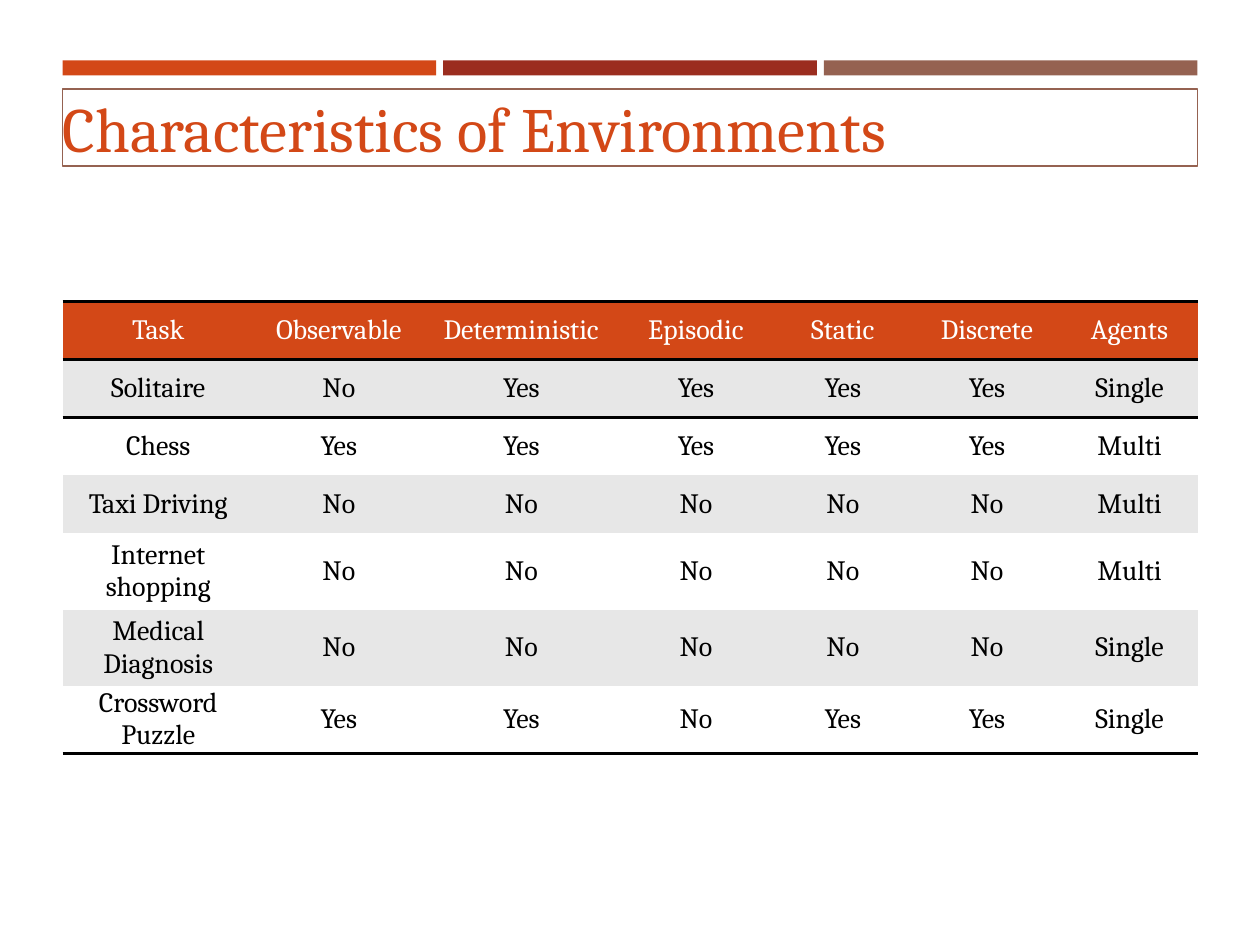
from dataclasses import dataclass

from lxml import etree
from pptx import Presentation
from pptx import util as u
from pptx.dml.color import RGBColor
from pptx.enum import shapes, text
from pptx.oxml.ns import qn

FONT = "Cambria"
COLORS = {
    "orange": "D34817",
    "red": "9B2D1F",
    "brown": "956251",
    "band": "E7E7E7",
    "white": "FFFFFF",
    "black": "000000",
}
LEFT, WIDTH = 1.26, 22.88
NO_GRID_STYLE = "{2D5ABB26-0587-4C30-8999-92F81FD0307C}"


@dataclass
class Task:
    name: str
    values: str
    height: float = 1.17


HEADINGS = Task("Task", "Observable Deterministic Episodic Static Discrete Agents")
TASKS = [
    Task("Solitaire", "No Yes Yes Yes Yes Single"),
    Task("Chess", "Yes Yes Yes Yes Yes Multi"),
    Task("Taxi Driving", "No No No No No Multi"),
    Task("Internet shopping", "No No No No No Multi", 1.54),
    Task("Medical Diagnosis", "No No No No No Single", 1.54),
    Task("Crossword Puzzle", "Yes Yes No Yes Yes Single", 1.36),
]
COLUMN_WIDTHS = [3.86, 3.42, 3.94, 3.1, 2.82, 2.99, 2.76]


def rgb(name: str) -> RGBColor:
    return RGBColor.from_string(COLORS[name])


def add_run(p, words: str, size: float, color: str) -> None:
    r = p.add_run()
    r.text = words
    r.font.name = FONT
    r.font.size = u.Pt(size)
    r.font.color.rgb = rgb(color)


def add_rect(s, left: float, top: float, width: float, height: float):
    sp = s.shapes.add_shape(shapes.MSO_SHAPE.RECTANGLE,
                            u.Cm(left), u.Cm(top), u.Cm(width), u.Cm(height))
    sp.shadow.inherit = False
    return sp


def add_bars(s, gap: float = 0.14) -> None:
    names = ["orange", "red", "brown"]
    width = (WIDTH - gap * (len(names) - 1)) / len(names)
    for i, name in enumerate(names):
        sp = add_rect(s, LEFT + i * (width + gap), 1.22, width, 0.3)
        sp.fill.solid()
        sp.fill.fore_color.rgb = rgb(name)
        sp.line.fill.background()


def add_title(s, words: str) -> None:
    sp = add_rect(s, LEFT, 1.8, WIDTH, 1.55)
    sp.fill.background()
    sp.line.color.rgb = rgb("brown")
    sp.line.width = u.Pt(1)
    tf = sp.text_frame
    tf.word_wrap = True
    tf.margin_left = tf.margin_right = tf.margin_top = tf.margin_bottom = 0
    tf.vertical_anchor = text.MSO_ANCHOR.MIDDLE
    p = tf.paragraphs[0]
    p.alignment = text.PP_ALIGN.LEFT
    add_run(p, words, 36, "orange")


def add_border(cell, side: str) -> None:
    tc_pr = cell._tc.get_or_add_tcPr()
    ln = etree.SubElement(tc_pr, qn(f"a:ln{side}"), w=str(u.Pt(2)))
    fill = etree.SubElement(ln, qn("a:solidFill"))
    etree.SubElement(fill, qn("a:srgbClr"), val=COLORS["black"])


def fill_cell(cell, words: str, fill: str, color: str, sides: str) -> None:
    # Borders come before the fill in the cell properties
    for side in sides:
        add_border(cell, side)
    cell.fill.solid()
    cell.fill.fore_color.rgb = rgb(fill)
    cell.margin_left = cell.margin_right = cell.margin_top = cell.margin_bottom = 0
    cell.vertical_anchor = text.MSO_ANCHOR.MIDDLE
    p = cell.text_frame.paragraphs[0]
    p.alignment = text.PP_ALIGN.CENTER
    add_run(p, words, 16, color)


def add_task_table(s) -> None:
    rows = [HEADINGS, *TASKS]
    height = sum(row.height for row in rows)
    table = s.shapes.add_table(len(rows), len(COLUMN_WIDTHS), u.Cm(LEFT), u.Cm(6.07),
                               u.Cm(WIDTH), u.Cm(height)).table
    table.horz_banding = False
    table._tbl.tblPr.find(qn("a:tableStyleId")).text = NO_GRID_STYLE
    for column, width in zip(table.columns, COLUMN_WIDTHS):
        column.width = u.Cm(width)
    for i, row in enumerate(rows):
        table.rows[i].height = u.Cm(row.height)
        if i == 0:
            fill, color, sides = "orange", "white", "TB"
        else:
            fill, color = ("band" if i % 2 else "white"), "black"
            sides = {1: "T", len(rows) - 1: "B"}.get(i, "")
        for j, words in enumerate([row.name, *row.values.split()]):
            fill_cell(table.cell(i, j), words, fill, color, sides)


def main() -> None:
    prs = Presentation()
    prs.slide_width, prs.slide_height = u.Cm(25.4), u.Cm(19.05)
    s = prs.slides.add_slide(prs.slide_layouts[6])
    add_bars(s)
    add_title(s, "Characteristics of Environments")
    add_task_table(s)
    prs.save("out.pptx")


if __name__ == "__main__":
    main()
